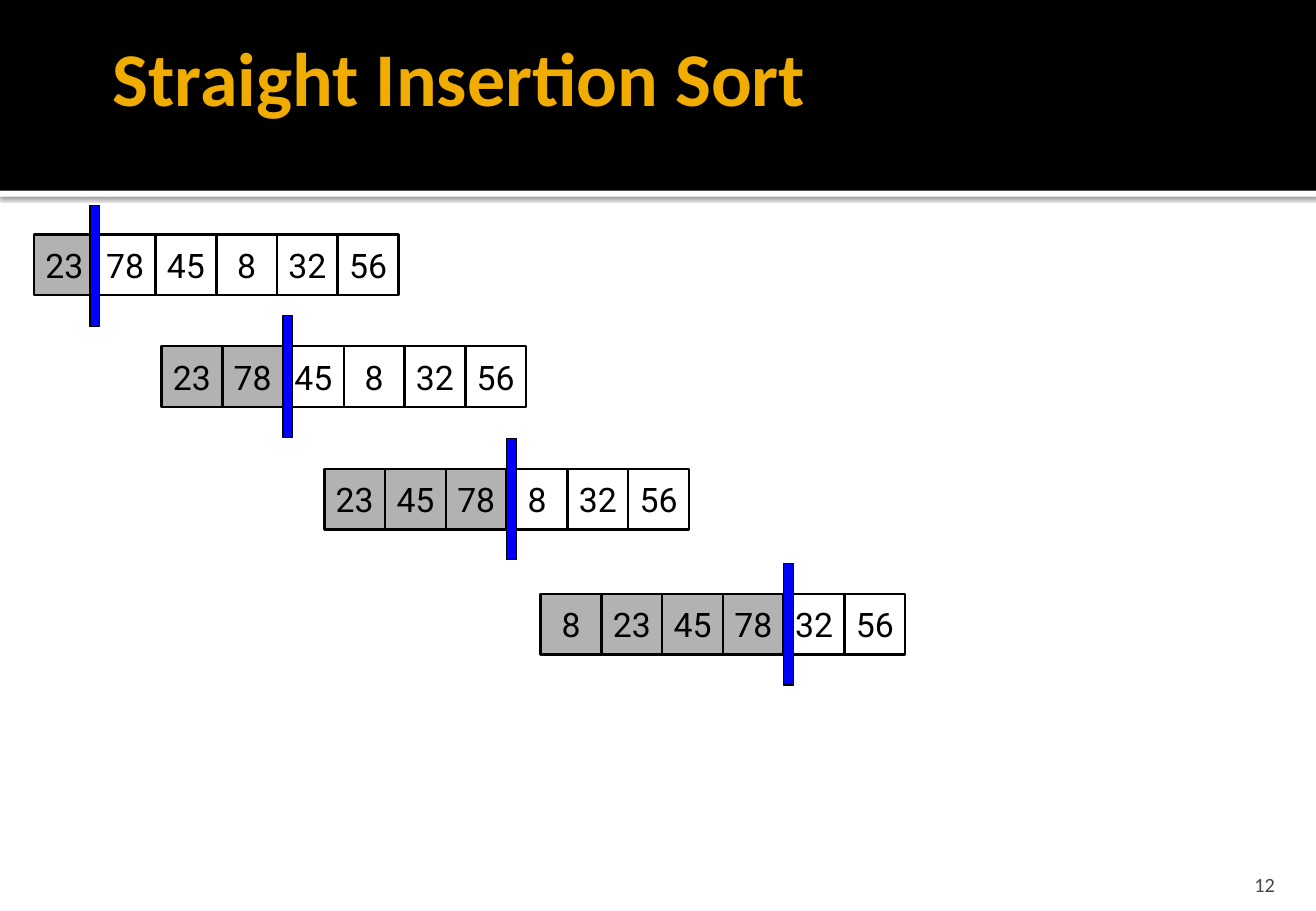
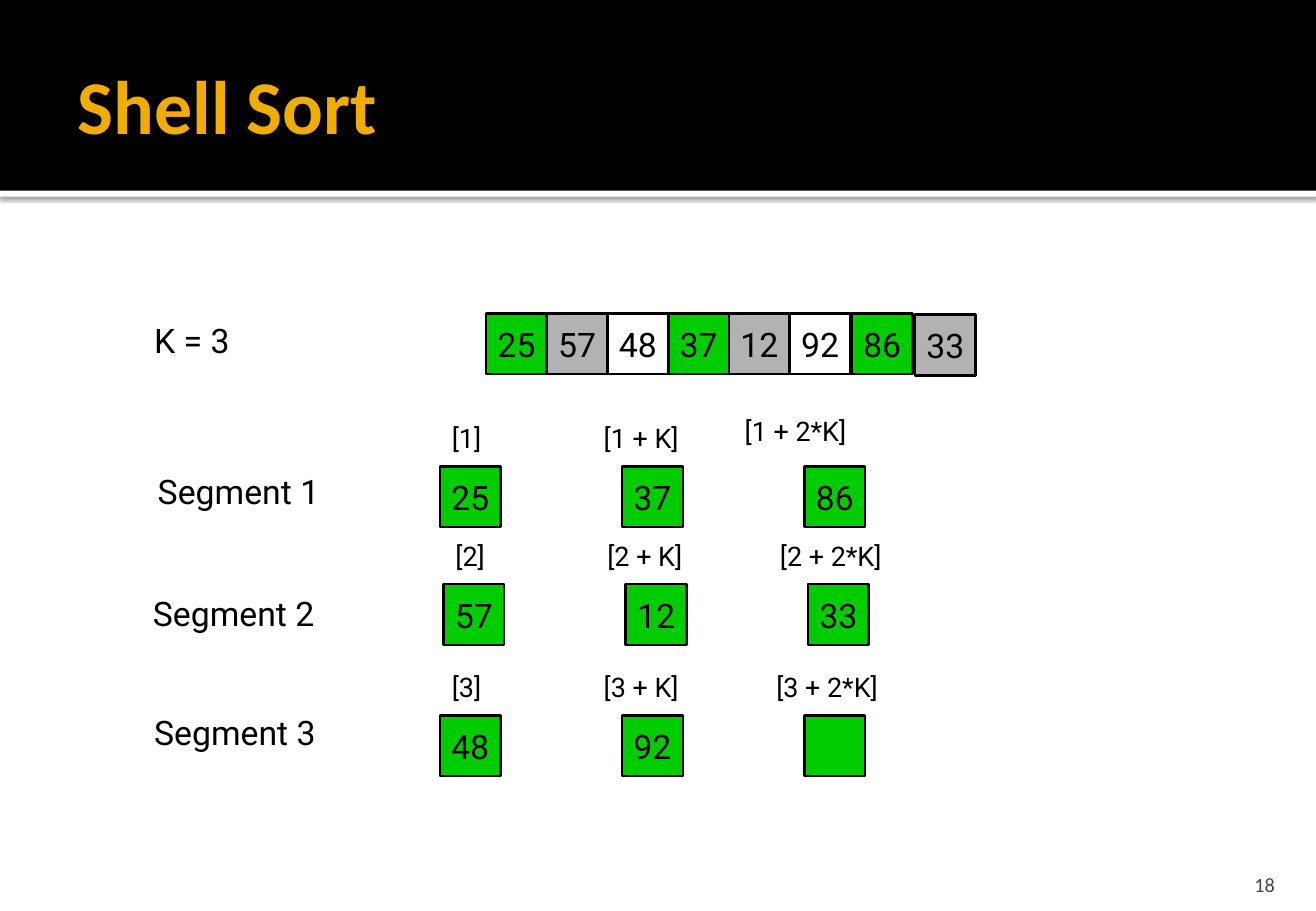
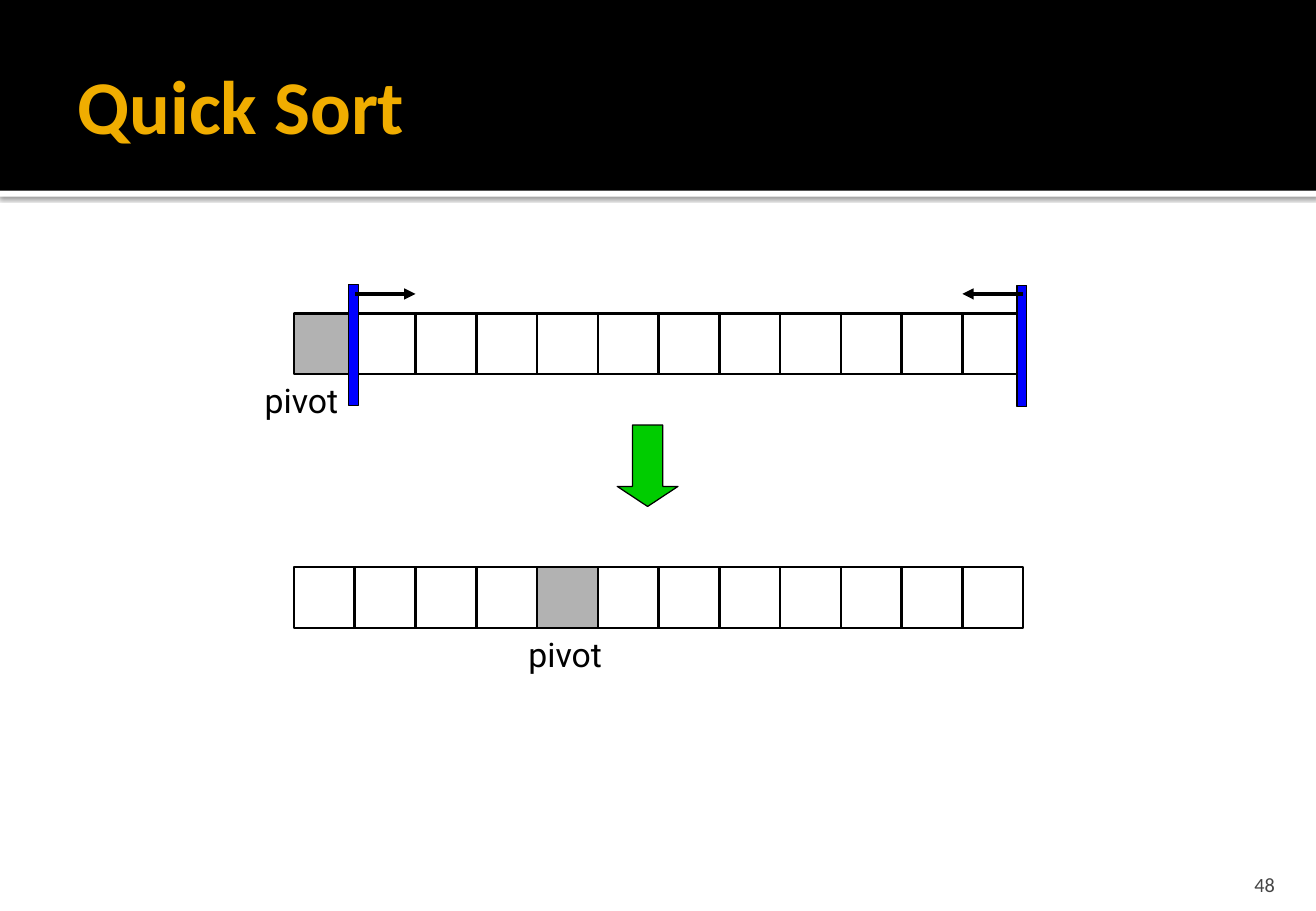
from lxml import etree
from pptx import Presentation
from pptx.dml.color import RGBColor
from pptx.enum.shapes import MSO_CONNECTOR, MSO_SHAPE
from pptx.enum.text import MSO_ANCHOR, PP_ALIGN
from pptx.oxml.ns import qn
from pptx.util import Inches, Pt

RECTANGLE = MSO_SHAPE.RECTANGLE
DOWN_ARROW = MSO_SHAPE.DOWN_ARROW
STRAIGHT = MSO_CONNECTOR.STRAIGHT
TOP, MIDDLE, BOTTOM = MSO_ANCHOR.TOP, MSO_ANCHOR.MIDDLE, MSO_ANCHOR.BOTTOM
LEFT, CENTER, RIGHT = PP_ALIGN.LEFT, PP_ALIGN.CENTER, PP_ALIGN.RIGHT

COLORS = {
    "black": "000000",
    "white": "FFFFFF",
    "title": "F0AD00",
    "number": "454545",
    "gray": "B2B2B2",
    "green": "00CC00",
    "blue": "0000FF",
}
HEADING_FONT = "Calibri"
BODY_FONT = "Roboto"
SLIDE_WIDTH = 10.83
CELL = 0.5


class Deck:
    def __init__(self):
        self.presentation = Presentation()
        self.presentation.slide_width = Inches(SLIDE_WIDTH)
        self.presentation.slide_height = Inches(7.5)
        self.slide = None

    def color(self, name):
        return RGBColor.from_string(COLORS[name])

    def add_slide(self, title, number, title_box=(0.54, 0.17, 9.75, 1.37)):
        self.slide = self.presentation.slides.add_slide(self.presentation.slide_layouts[6])
        strip = self.shape(RECTANGLE, 0, 1.57, SLIDE_WIDTH, 0.05, "white", None)
        self.drop_shadow(strip)
        self.shape(RECTANGLE, 0, 0, SLIDE_WIDTH, 1.57, "black", None)
        self.text(title, *title_box, size=45, color="title", font=HEADING_FONT, bold=True,
                  anchor=MIDDLE, insets=(0.1, 0.05, 0.05, 0.05))
        self.text(number, 9.72, 7.08, 0.87, 0.3, size=12, color="number", font=HEADING_FONT,
                  align=RIGHT, anchor=BOTTOM, insets=(0.1, 0.05, 0.1, 0))

    def drop_shadow(self, shape):
        effects = shape._element.spPr.find(qn("a:effectLst"))
        shadow = etree.SubElement(effects, qn("a:outerShdw"), blurRad=str(Pt(2.5)),
                                  dist=str(Pt(0.8)), dir="5400000", algn="tl", rotWithShape="0")
        tint = etree.SubElement(shadow, qn("a:srgbClr"), val=COLORS["black"])
        etree.SubElement(tint, qn("a:alpha"), val="60000")

    def shape(self, kind, left, top, width, height, fill, line_width=0.75):
        shape = self.slide.shapes.add_shape(
            kind, Inches(left), Inches(top), Inches(width), Inches(height))
        shape.shadow.inherit = False
        if fill:
            shape.fill.solid()
            shape.fill.fore_color.rgb = self.color(fill)
        else:
            shape.fill.background()
        if line_width:
            shape.line.color.rgb = self.color("black")
            shape.line.width = Pt(line_width)
        else:
            shape.line.fill.background()
        return shape

    def set_text(self, frame, text, size, color="black", font=BODY_FONT, bold=False, align=LEFT):
        paragraph = frame.paragraphs[0]
        paragraph.text = text
        paragraph.alignment = align
        paragraph.font.size = Pt(size)
        paragraph.font.name = font
        paragraph.font.bold = bold
        paragraph.font.color.rgb = self.color(color)

    def text(self, text, left, top, width, height, size=20, anchor=TOP,
             insets=(0.1, 0.05, 0.1, 0.05), **style):
        box = self.slide.shapes.add_textbox(
            Inches(left), Inches(top), Inches(width), Inches(height))
        frame = box.text_frame
        frame.word_wrap = True
        frame.vertical_anchor = anchor
        frame.margin_left, frame.margin_top, frame.margin_right, frame.margin_bottom = map(
            Inches, insets)
        self.set_text(frame, text, size, **style)

    def cell(self, left, top, value="", fill=None):
        shape = self.shape(RECTANGLE, left, top, CELL, CELL, fill, 1.5)
        if value:
            frame = shape.text_frame
            frame.word_wrap = False
            frame.vertical_anchor = MIDDLE
            self.set_text(frame, value, 20, align=CENTER)

    def array(self, left, top, values, fills):
        for index, (value, fill) in enumerate(zip(values, fills)):
            self.cell(left + index * CELL, top, value, fill)

    def marker(self, left, top):
        self.shape(RECTANGLE, left, top, 0.08, 1, "blue")

    def arrow(self, start, end, top):
        connector = self.slide.shapes.add_connector(
            STRAIGHT, Inches(start), Inches(top), Inches(end), Inches(top))
        connector.line.color.rgb = self.color("black")
        connector.line.width = Pt(2.25)
        properties = connector._element.spPr
        etree.SubElement(properties.find(qn("a:ln")), qn("a:tailEnd"), type="triangle")
        etree.SubElement(properties, qn("a:effectLst"))


def insertion_sort(deck):
    deck.add_slide("Straight Insertion Sort", "12", (0.83, 0, 9.2, 1.25))
    steps = [
        (0.28, 1.93, ["23", "78", "45", "8", "32", "56"], 0.74, 1.69),
        (1.33, 2.85, ["23", "78", "45", "8", "32", "56"], 2.33, 2.6),
        (2.67, 3.86, ["23", "45", "78", "8", "32", "56"], 4.17, 3.61),
        (4.45, 4.89, ["8", "23", "45", "78", "32", "56"], 6.45, 4.64),
    ]
    for sorted_count, (left, top, values, marker_left, marker_top) in enumerate(steps, 1):
        fills = ["gray"] * sorted_count + [None] * (len(values) - sorted_count)
        deck.array(left, top, values, fills)
        deck.marker(marker_left, marker_top)


def shell_sort(deck):
    deck.add_slide("Shell Sort", "18")
    deck.array(4, 2.58, ["25", "57", "48", "37", "12", "92"], ["green", "gray", None] * 2)
    deck.cell(7.01, 2.58, "86", "green")
    deck.cell(7.53, 2.59, "33", "gray")
    deck.text("K = 3", 1.17, 2.58, 1.67, 0.43)

    segments = [
        (1.2, 3.83, 3.62, 3.84, ["25", "37", "86"], (6.03, 3.36)),
        (1.16, 4.83, 3.65, 4.81, ["57", "12", "33"], (6.32, 4.39)),
        (1.17, 5.81, 3.62, 5.89, ["48", "92", ""], (6.29, 5.47)),
    ]
    for number, (name_left, name_top, left, top, values, last_label) in enumerate(segments, 1):
        deck.text(f"Segment {number}", name_left, name_top, 1.67, 0.43)
        for index, value in enumerate(values):
            deck.cell(left + index * 1.5, top, value, "green")
        label_top = top - 0.42
        deck.text(f"[{number}]", left, label_top, 0.5, 0.37, size=16)
        deck.text(f"[{number} + K]", left + 1.25, label_top, 1, 0.37, size=16)
        deck.text(f"[{number} + 2*K]", *last_label, 1.17, 0.37, size=16)


def quick_sort(deck):
    deck.add_slide("Quick Sort", "48")
    count = 12
    for top, pivot, label_left in [(2.58, 0, 2.08), (4.67, 4, 4.25)]:
        fills = ["gray" if index == pivot else None for index in range(count)]
        deck.array(2.42, top, [""] * count, fills)
        deck.text("pivot", label_left, top + CELL, 0.83, 0.43)
    deck.marker(2.87, 2.34)
    deck.marker(8.37, 2.35)
    deck.arrow(2.92, 3.42, 2.42)
    deck.arrow(8.42, 7.92, 2.42)
    down_arrow = deck.shape(DOWN_ARROW, 5.08, 3.5, 0.5, 0.67, "green")
    down_arrow.adjustments[0] = 0.5
    down_arrow.adjustments[1] = 0.33


def main():
    deck = Deck()
    insertion_sort(deck)
    shell_sort(deck)
    quick_sort(deck)
    deck.presentation.save("out.pptx")


if __name__ == "__main__":
    main()
